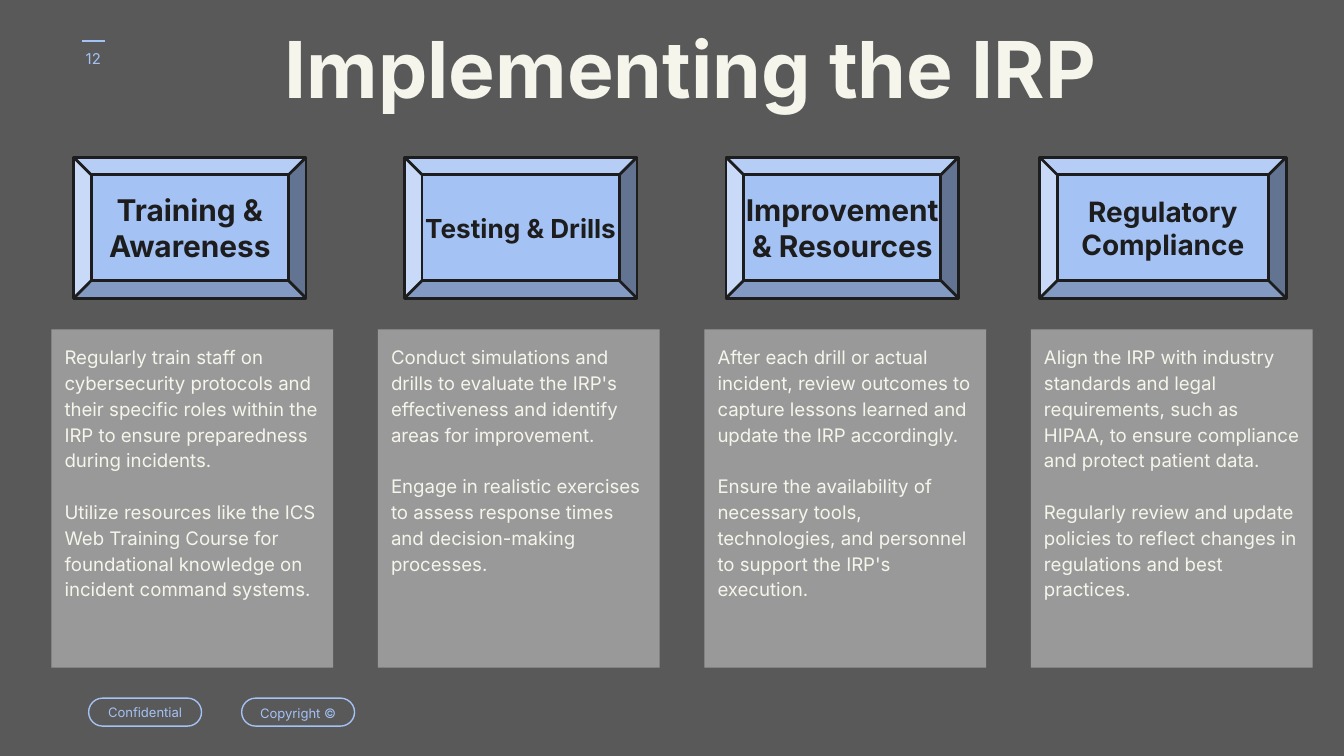
from dataclasses import dataclass

from lxml import etree
from pptx import Presentation
from pptx.dml.color import RGBColor
from pptx.enum.shapes import MSO_CONNECTOR, MSO_SHAPE
from pptx.enum.text import MSO_ANCHOR, PP_ALIGN
from pptx.oxml.ns import qn
from pptx.util import Pt

STRAIGHT = MSO_CONNECTOR.STRAIGHT
BEVEL = MSO_SHAPE.BEVEL
RECTANGLE = MSO_SHAPE.RECTANGLE
ROUNDED = MSO_SHAPE.ROUNDED_RECTANGLE
TOP = MSO_ANCHOR.TOP
MIDDLE = MSO_ANCHOR.MIDDLE
LEFT = PP_ALIGN.LEFT
CENTER = PP_ALIGN.CENTER


@dataclass(frozen=True)
class Theme:
    """Hold the colours, font and type sizes of the slide."""
    background: str = "595959"
    accent: str = "A4C2F4"
    ink: str = "1D1D1D"
    panel: str = "999999"
    light: str = "F6F5EC"
    font: str = "Inter"
    title_size: float = 42
    body_size: float = 10
    number_size: float = 8
    badge_size: float = 7
    large_heading: float = 16
    medium_heading: float = 15
    small_heading: float = 14


THEME = Theme()
INSET = 7.2
CARD_LEFT, CARD_STEP = 27.5, 174.9

COLUMNS = [
    ("Training & Awareness", THEME.large_heading, 39.5, 124.5, [
        "Regularly train staff on cybersecurity protocols and their specific "
        "roles within the IRP to ensure preparedness during incidents.",
        "Utilize resources like the ICS Web Training Course for foundational "
        "knowledge on incident command systems."]),
    ("Testing & Drills", THEME.small_heading, 216.75, 124.5, [
        "Conduct simulations and drills to evaluate the IRP's effectiveness "
        "and identify areas for improvement.",
        "Engage in realistic exercises to assess response times and "
        "decision-making processes."]),
    ("Improvement & Resources", THEME.large_heading, 389, 124.5, [
        "After each drill or actual incident, review outcomes to capture "
        "lessons learned and update the IRP accordingly.",
        "Ensure the availability of necessary tools, technologies, and "
        "personnel to support the IRP's execution."]),
    ("Regulatory Compliance", THEME.medium_heading, 557, 132, [
        "Align the IRP with industry standards and legal requirements, such "
        "as HIPAA, to ensure compliance and protect patient data.",
        "Regularly review and update policies to reflect changes in "
        "regulations and best practices."]),
]
BADGES = [("Confidential", 47.5, 1.0), ("Copyright ©", 129.5, 1.15)]


def rgb(code):
    """Turn a hex code into a colour."""
    return RGBColor.from_string(code)


def write_text(box, paragraphs, *, size, color, bold=False, align=LEFT,
               anchor=TOP, spacing=1.0, gap=0, inset_x=INSET, inset_y=INSET):
    """Fill a box with evenly formatted paragraphs."""
    frame = box.text_frame
    frame.word_wrap = True
    frame.vertical_anchor = anchor
    frame.margin_left = frame.margin_right = Pt(inset_x)
    frame.margin_top = frame.margin_bottom = Pt(inset_y)
    for index, text in enumerate(paragraphs):
        para = frame.paragraphs[0] if index == 0 else frame.add_paragraph()
        para.alignment = align
        para.line_spacing = spacing
        para.space_before = Pt(gap if index else 0)
        span = para.add_run()
        span.text = text
        span.font.name = THEME.font
        span.font.size = Pt(size)
        span.font.bold = bold
        span.font.color.rgb = rgb(color)


def add_label(page, bounds, text, **style):
    """Add a plain text box."""
    box = page.shapes.add_textbox(*map(Pt, bounds))
    write_text(box, [text], **style)


def add_box(page, kind, bounds, *, fill=None, line=None, width=0.75):
    """Add a flat preset shape."""
    box = page.shapes.add_shape(kind, *map(Pt, bounds))
    box.shadow.inherit = False
    if fill:
        box.fill.solid()
        box.fill.fore_color.rgb = rgb(fill)
    else:
        box.fill.background()
    if line:
        box.line.color.rgb = rgb(line)
        box.line.width = Pt(width)
    else:
        box.line.fill.background()
    return box


def add_rule(page, left, right, top):
    """Add a horizontal accent line."""
    rule = page.shapes.add_connector(
        STRAIGHT, Pt(left), Pt(top), Pt(right), Pt(top))
    rule.line.color.rgb = rgb(THEME.accent)
    rule.line.width = Pt(0.75)
    etree.SubElement(rule.element.spPr, qn("a:effectLst"))


def add_badge(page, text, left, spacing):
    """Add an outlined pill in the footer."""
    box = add_box(page, ROUNDED, (left, 374, 60.5, 15), line=THEME.accent)
    box.adjustments[0] = 0.5
    write_text(box, [text], size=THEME.badge_size, color=THEME.accent,
               align=CENTER, anchor=MIDDLE, spacing=spacing, inset_y=0)


def add_heading(page, text, size, left, width):
    """Add a bevelled column heading."""
    box = add_box(page, BEVEL, (left, 84.25, width, 75.5),
                  fill=THEME.accent, line=THEME.ink, width=1.5)
    box.adjustments[0] = 0.125
    write_text(box, [text], size=size, color=THEME.ink, bold=True,
               align=CENTER, anchor=MIDDLE, inset_x=0)


def add_card(page, left, paragraphs):
    """Add a panel of body text."""
    box = add_box(page, RECTANGLE, (left, 176.5, 151, 181.25),
                  fill=THEME.panel)
    write_text(box, paragraphs, size=THEME.body_size, color=THEME.light,
               spacing=1.15, gap=13.85)


def main():
    """Build and save the slide."""
    deck = Presentation()
    deck.slide_width, deck.slide_height = Pt(720), Pt(405)
    page = deck.slides.add_slide(deck.slide_layouts[6])
    page.background.fill.solid()
    page.background.fill.fore_color.rgb = rgb(THEME.background)

    add_label(page, (33, 16, 34, 31), "12", size=THEME.number_size,
              color=THEME.accent, align=CENTER, anchor=MIDDLE)
    add_rule(page, 44, 56, 22)
    for badge in BADGES:
        add_badge(page, *badge)
    add_label(page, (145.5, 13.5, 533, 65.5), "Implementing the IRP",
              size=THEME.title_size, color=THEME.light, bold=True, spacing=0.8)
    for index, (heading, size, left, width, paragraphs) in enumerate(COLUMNS):
        add_heading(page, heading, size, left, width)
        add_card(page, CARD_LEFT + index * CARD_STEP, paragraphs)
    deck.save("out.pptx")


if __name__ == "__main__":
    main()
